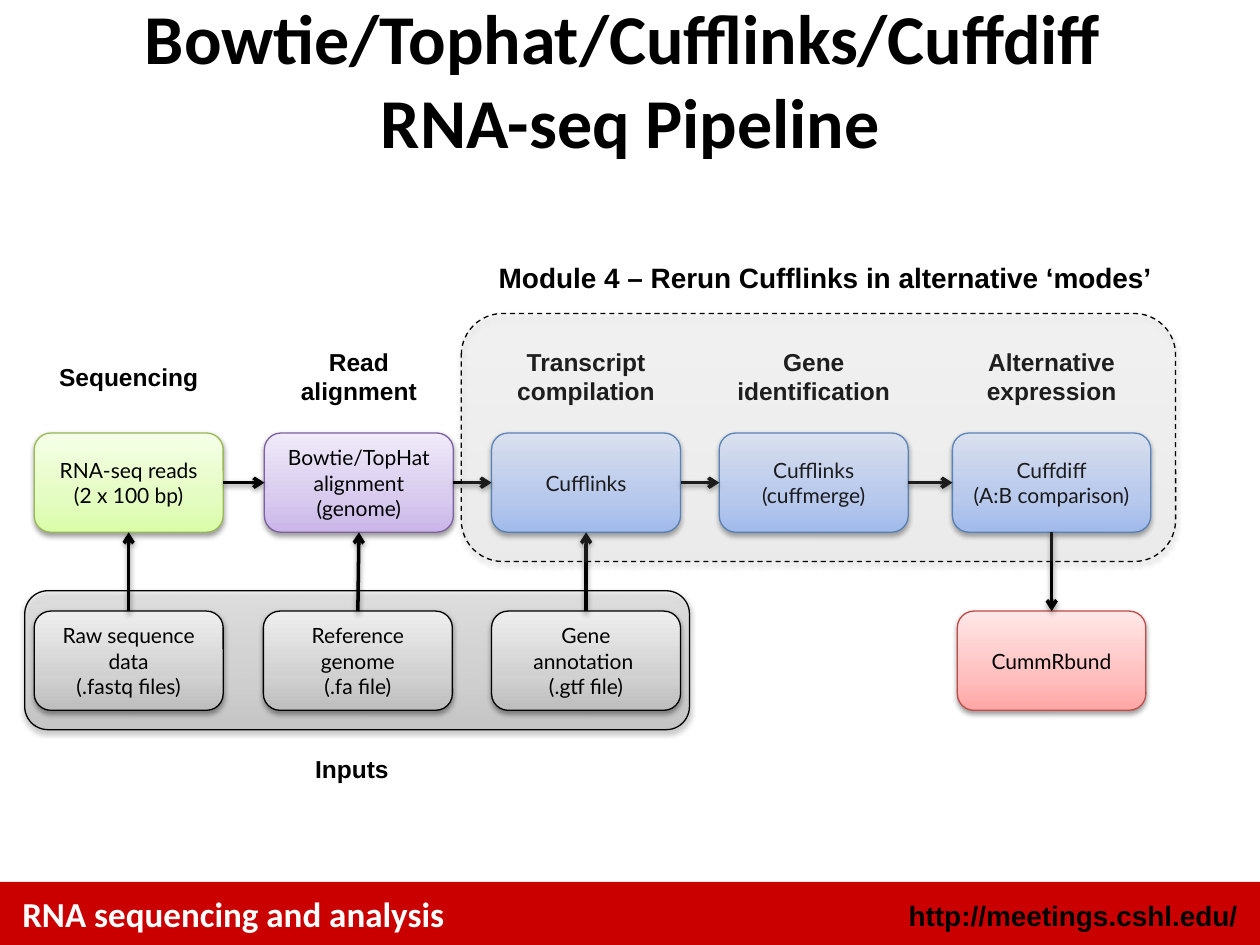
from lxml import etree
from pptx import Presentation
from pptx import util as u
from pptx.dml import color
from pptx.enum import dml, shapes, text
from pptx.oxml import ns

COLORS = {"black": "000000", "white": "FFFFFF", "red": "CA0000"}
# Gradient stops run from bottom to top; the last value is the outline.
THEMES = {
    "green": ("DAFDA7", "E4FCC2", "F5FFE7", "98B955"),
    "purple": ("C9B5E8", "D8CBEE", "F0EAF9", "7D60A0"),
    "blue": ("A4C4FF", "BFD4FF", "E6EEFF", "4B7EBC"),
    "pink": ("FFA6A5", "FFC0BF", "FFE7E7", "BF4C48"),
    "gray": ("BDBDBD", "D1D1D1", "EEEEEE", "000000"),
}
STOPS = (0, 35, 100)
BOX_W, BOX_H = 3.81, 2.0
CAPTION_H = 1.45
CAPTION_RISE = 1.87

BOX_FONT = {"name": "Lato", "size": u.Pt(12), "bold": False}
CAPTION_FONT = {"name": "Arial", "size": u.Pt(14), "bold": True}
HEADING_FONT = {"name": "Arial", "size": u.Pt(16), "bold": True}
FOOTER_FONT = {"name": "Calibri", "size": u.Pt(20), "bold": True}
TITLE_FONT = {"name": "Calibri", "size": u.Pt(40), "bold": True}

# left, width, box text, theme, caption, caption width
STEPS = [
    (0.69, BOX_W, "RNA-seq reads (2 x 100 bp)", "green", "Sequencing", 3.33),
    (5.33, BOX_W, "Bowtie/TopHat alignment (genome)", "purple", "Read alignment", 3.45),
    (9.91, BOX_W, "Cufflinks", "blue", "Transcript compilation", 4.6),
    (14.5, BOX_W, "Cufflinks (cuffmerge)", "blue", "Gene identification", 4.6),
    (19.2, 4.0, "Cuffdiff\n(A:B comparison)", "blue", "Alternative expression", 4.6),
]
INPUTS = [
    (0.69, "Raw sequence data\n(.fastq files)"),
    (5.31, "Reference genome\n(.fa file)"),
    (9.91, "Gene annotation \n(.gtf file)"),
]


def cm(*lengths):
    return [u.Cm(length) for length in lengths]


def rgb(name):
    return color.RGBColor.from_string(COLORS[name])


def add_element(parent, tag, **attributes):
    element = etree.SubElement(parent, ns.qn(tag))
    for name, value in attributes.items():
        element.set(name, str(value))
    return element


def write(frame, content, font, ink="black", align=text.PP_ALIGN.CENTER,
          anchor=text.MSO_ANCHOR.MIDDLE, wrap=True):
    frame.text = content
    frame.word_wrap = wrap
    frame.auto_size = text.MSO_AUTO_SIZE.NONE
    frame.vertical_anchor = anchor
    for paragraph in frame.paragraphs:
        paragraph.alignment = align
        for run in paragraph.runs:
            for attribute, value in font.items():
                setattr(run.font, attribute, value)
            run.font.color.rgb = rgb(ink)


def add_label(slide, box, content, font, **layout):
    label = slide.shapes.add_textbox(*cm(*box))
    write(label.text_frame, content, font, **layout)


def add_glossy_box(slide, box, theme, opacity=100):
    """Rounded box with a vertical gradient, thin outline and soft shadow."""
    panel = slide.shapes.add_shape(shapes.MSO_SHAPE.ROUNDED_RECTANGLE, *cm(*box))
    *fills, outline = THEMES[theme]
    panel.fill.gradient()
    panel.fill.gradient_angle = 90
    stops = panel.element.spPr.find(".//" + ns.qn("a:gsLst"))
    for stop in list(stops):
        stops.remove(stop)
    for position, value in zip(STOPS, fills):
        stop = add_element(stops, "a:gs", pos=position * 1000)
        tint = add_element(stop, "a:srgbClr", val=value)
        if opacity < 100:
            add_element(tint, "a:alpha", val=opacity * 1000)
    panel.line.color.rgb = color.RGBColor.from_string(outline)
    panel.line.width = u.Pt(0.75)
    panel.shadow.inherit = False
    add_shadow(panel.element.spPr.find(ns.qn("a:effectLst")))
    return panel


def add_shadow(effects):
    shadow = add_element(effects, "a:outerShdw", blurRad=u.Pt(3.1), dist=u.Pt(1.6),
                         dir=5400000, rotWithShape=0)
    tint = add_element(shadow, "a:srgbClr", val=COLORS["black"])
    add_element(tint, "a:alpha", val=38000)


def add_node(slide, box, content, theme):
    node = add_glossy_box(slide, box, theme)
    node.text_frame.margin_left = node.text_frame.margin_right = u.Cm(0.28)
    write(node.text_frame, content, BOX_FONT)
    return node


def join(slide, start, start_side, end, end_side):
    arrow = slide.shapes.add_connector(shapes.MSO_CONNECTOR.STRAIGHT, 0, 0, 0, 0)
    arrow.begin_connect(start, start_side)
    arrow.end_connect(end, end_side)
    arrow.line.color.rgb = rgb("black")
    arrow.line.width = u.Pt(2)
    properties = arrow.element.spPr
    add_element(properties.find(ns.qn("a:ln")), "a:tailEnd", type="arrow")
    add_shadow(add_element(properties, "a:effectLst"))


def add_title(slide, box):
    title = slide.shapes.title
    title.left, title.top, title.width, title.height = cm(*box)
    write(title.text_frame, "Bowtie/Tophat/Cufflinks/Cuffdiff \vRNA-seq Pipeline", TITLE_FONT)


def add_footer(slide, box):
    left, top, width, height = box
    band = slide.shapes.add_shape(shapes.MSO_SHAPE.RECTANGLE, *cm(*box))
    band.fill.solid()
    band.fill.fore_color.rgb = rgb("red")
    band.line.fill.background()
    band.shadow.inherit = False
    add_label(slide, (left + 0.2, top + 0.08, 18.6, 1.1), "RNA sequencing and analysis",
              FOOTER_FONT, ink="white", align=text.PP_ALIGN.LEFT, anchor=text.MSO_ANCHOR.TOP)
    add_label(slide, (left + width - 8.25, top + 0.2, 8.05, 0.94), "http://meetings.cshl.edu/",
              HEADING_FONT, align=text.PP_ALIGN.RIGHT, anchor=text.MSO_ANCHOR.TOP)


def add_inputs(slide, box):
    """Gray panel holding the input files; returns the file boxes."""
    left, top, width, height = box
    add_glossy_box(slide, box, "gray", opacity=51)
    files = [add_node(slide, (x, top + 0.41, BOX_W, BOX_H), content, "gray")
             for x, content in INPUTS]
    add_label(slide, (left + 5.59, top + height + 0.36, 2.01, 0.86), "Inputs",
              CAPTION_FONT, wrap=False)
    return files


def add_steps(slide, top):
    """Captioned row of pipeline steps joined by arrows; returns the boxes."""
    nodes = []
    for left, width, content, theme, caption, caption_width in STEPS:
        nodes.append(add_node(slide, (left, top, width, BOX_H), content, theme))
        caption_left = left + (width - caption_width) / 2
        add_label(slide, (caption_left, top - CAPTION_RISE, caption_width, CAPTION_H),
                  caption, CAPTION_FONT)
    for before, after in zip(nodes, nodes[1:]):
        join(slide, before, 3, after, 1)
    return nodes


def add_module(slide, box):
    left, top, width, height = box
    add_label(slide, (left + 0.48, top - 1.19, 13.72, 0.94),
              "Module 4 – Rerun Cufflinks in alternative ‘modes’", HEADING_FONT, wrap=False)
    frame = add_glossy_box(slide, box, "gray", opacity=13)
    frame.line.dash_style = dml.MSO_LINE.DASH


def main():
    deck = Presentation()
    deck.slide_width, deck.slide_height = cm(25.4, 19.05)
    slide = deck.slides.add_slide(deck.slide_layouts[5])
    add_footer(slide, (0, 17.78, 25.4, 1.27))
    add_title(slide, (0.43, 0, 24.56, 3.18))
    files = add_inputs(slide, (0.5, 11.91, 13.4, 2.8))
    steps = add_steps(slide, 8.73)
    for file, step in zip(files, steps):
        join(slide, file, 0, step, 2)
    report = add_node(slide, (19.3, 12.32, 3.8, BOX_H), "CummRbund", "pink")
    join(slide, steps[-1], 2, report, 0)
    add_module(slide, (9.3, 6.32, 14.4, 5))
    deck.save("out.pptx")


if __name__ == "__main__":
    main()
